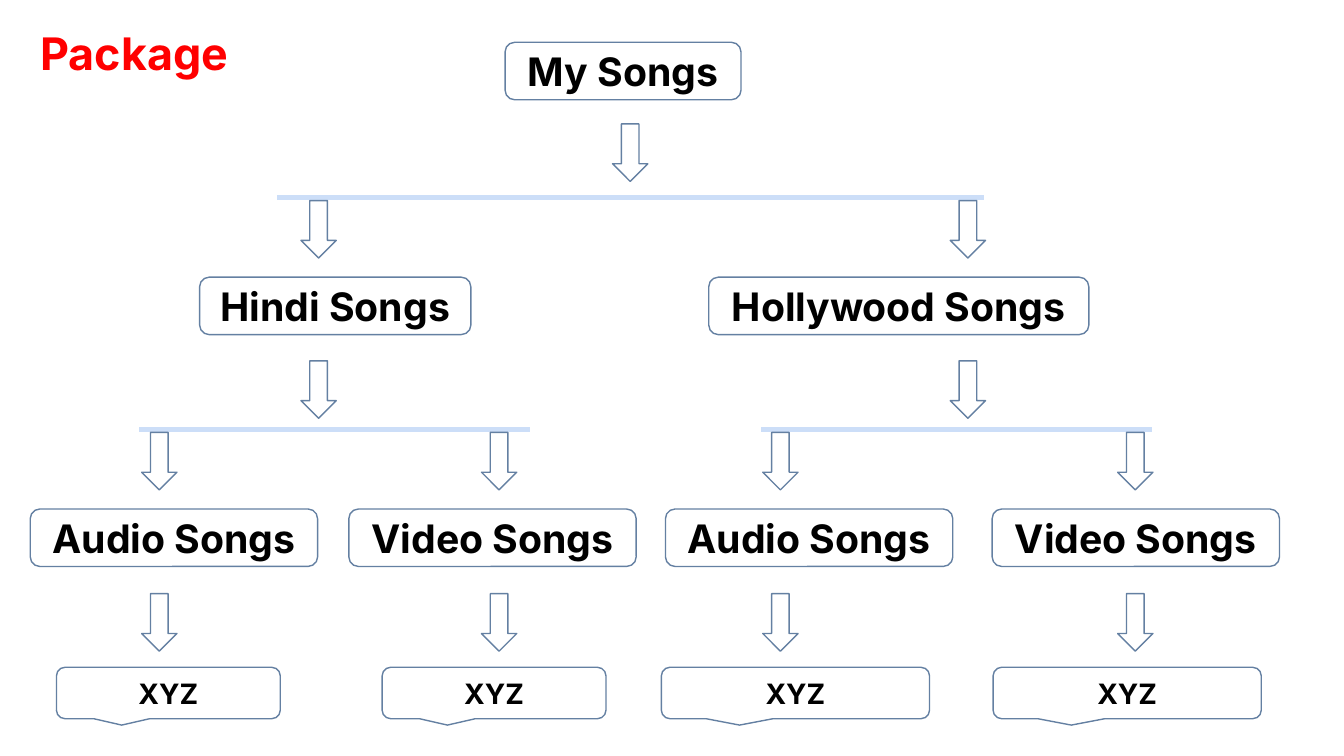
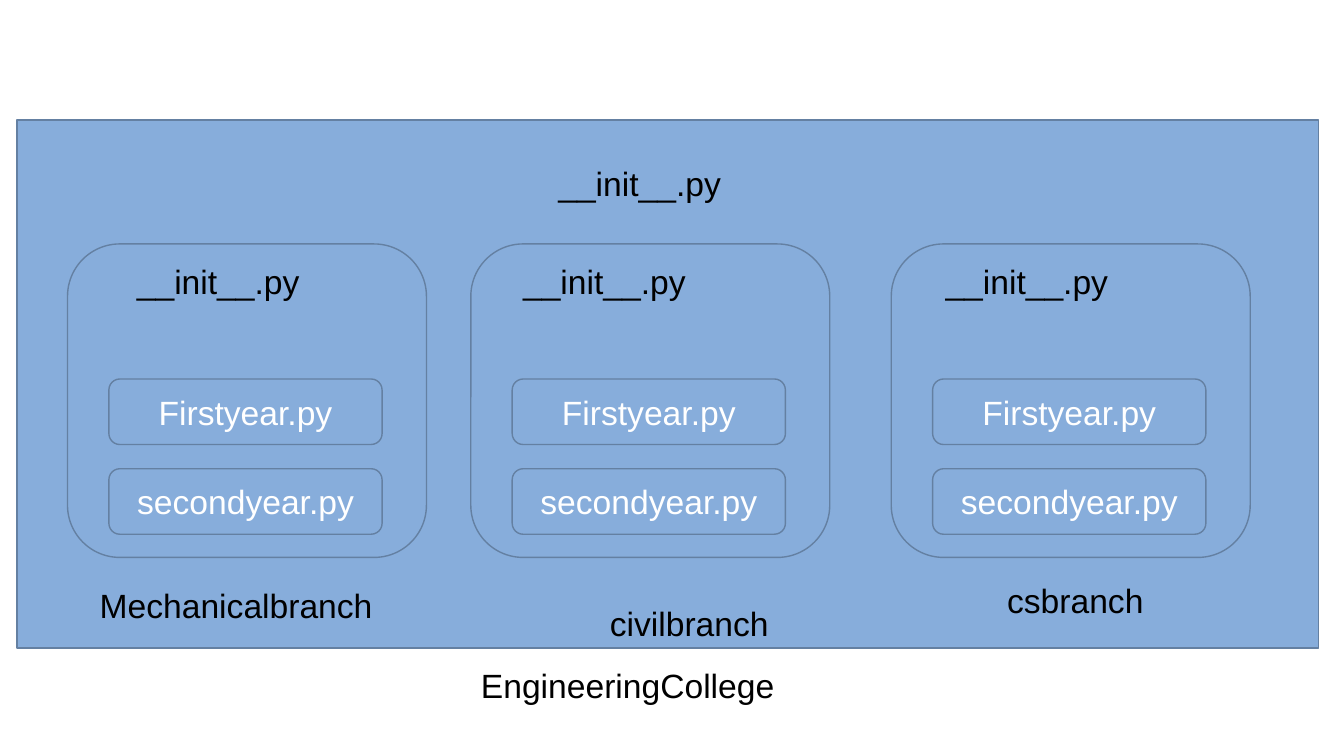
from pptx import Presentation
from pptx.dml.color import RGBColor
from pptx.enum.shapes import MSO_CONNECTOR, MSO_SHAPE
from pptx.enum.text import MSO_ANCHOR, MSO_AUTO_SIZE, PP_ALIGN
from pptx.oxml.ns import qn
from pptx.util import Inches, Pt
from lxml.etree import SubElement

OUTLINE, BAR, PANEL = "6480A2", "CCDEF8", "87ADDB"
BLACK, WHITE, RED = "000000", "FFFFFF", "FF0000"
HEADING = {"font": "Inter", "bold": True}


def write(shape, text, size=24, color=BLACK, font="Arial", bold=False, centred=False):
    """Put one formatted paragraph into a shape, a text box or a title."""
    frame = shape.text_frame
    frame.text = text
    frame.word_wrap = True
    frame.auto_size = MSO_AUTO_SIZE.NONE
    frame.vertical_anchor = MSO_ANCHOR.MIDDLE if centred else MSO_ANCHOR.TOP
    paragraph = frame.paragraphs[0]
    paragraph.alignment = PP_ALIGN.CENTER if centred else PP_ALIGN.LEFT
    style = paragraph.runs[0].font
    style.name, style.size, style.bold = font, Pt(size), bold
    style.color.rgb = RGBColor.from_string(color)


def add_outlined(slide, kind, left, top, width, height, fill=None):
    """Add a preset shape with the thin outline that both slides share."""
    shape = slide.shapes.add_shape(kind, *map(Inches, (left, top, width, height)))
    shape.shadow.inherit = False
    shape.line.color.rgb = RGBColor.from_string(OUTLINE)
    shape.line.width = Pt(1)
    if fill:
        shape.fill.solid()
        shape.fill.fore_color.rgb = RGBColor.from_string(fill)
    else:
        shape.fill.background()
    return shape


presentation = Presentation()
presentation.slide_width, presentation.slide_height = Inches(13.33), Inches(7.5)
title_only = presentation.slide_layouts[5]

titles = [
    ("Package", (0.3, 0.2, 3.33, 0.64), {"size": 32, "color": RED, **HEADING}),
    ("EngineeringCollege", (4.67, 6.55, 4, 0.5), {}),
]
for text, bounds, style in titles:
    slide = presentation.slides.add_slide(title_only)
    title = slide.shapes.title
    title.left, title.top, title.width, title.height = map(Inches, bounds)
    write(title, text, **style)
tree_slide, college_slide = presentation.slides

# Slide 1: tree of song packages
box_height, callout_height = 0.57, 0.51
arrow_width, arrow_height = 0.35, 0.57
leaf_width, leaf_row, callout_row = 2.85, 5.05, 6.62

bars = [(2.75, 9.76, 1.96), (1.38, 5.26, 4.26), (7.55, 11.43, 4.26)]
for start, end, row in bars:
    bar = tree_slide.shapes.add_connector(
        MSO_CONNECTOR.STRAIGHT, *map(Inches, (start, row, end, row)))
    bar.line.color.rgb = RGBColor.from_string(BAR)
    bar.line.width = Pt(4)
    SubElement(bar._element.spPr, qn("a:effectLst"))

root_centre, group_centres = 6.25, (3.16, 9.6)
leaf_centres = (1.58, 4.95, 7.74, 11.26)
arrow_rows = [
    (1.23, (root_centre,)),
    (1.99, group_centres),
    (3.58, group_centres),
    (4.29, leaf_centres),
    (5.89, leaf_centres),
]
for row, centres in arrow_rows:
    for centre in centres:
        add_outlined(tree_slide, MSO_SHAPE.DOWN_ARROW, centre - arrow_width / 2, row,
                     arrow_width, arrow_height)

packages = [
    ("My Songs", 5.01, 0.42, 2.34),
    ("Hindi Songs", 1.98, 2.75, 2.69),
    ("Hollywood Songs", 7.03, 2.75, 3.77),
    ("Audio Songs", 0.3, leaf_row, leaf_width),
    ("Video Songs", 3.46, leaf_row, leaf_width),
    ("Audio Songs", 6.6, leaf_row, leaf_width),
    ("Video Songs", 9.84, leaf_row, leaf_width),
]
for text, left, row, width in packages:
    package_box = add_outlined(tree_slide, MSO_SHAPE.ROUNDED_RECTANGLE,
                               left, row, width, box_height)
    write(package_box, text, 28, centred=True, **HEADING)

for left, width in [(0.56, 2.22), (3.79, 2.22), (6.56, 2.66), (9.85, 2.66)]:
    callout = add_outlined(tree_slide, MSO_SHAPE.ROUNDED_RECTANGULAR_CALLOUT,
                           left, callout_row, width, callout_height)
    write(callout, "XYZ", 20, centred=True, **HEADING)

# Slide 2: college package with three branch packages
add_outlined(college_slide, MSO_SHAPE.RECTANGLE, 0.17, 1.19, 12.91, 5.24, PANEL)

branch_top, branch_width, branch_height = 2.42, 3.56, 3.11
file_indent, file_width, file_height = 0.41, 2.71, 0.65
file_rows = [("Firstyear.py", 3.76), ("secondyear.py", 4.65)]
label_width, label_height = 3.04, 0.5
labels = [("__init__.py", 5.44, 1.57)]
branches = [
    ("Mechanicalbranch", 0.67, 1.26, 0.89, 5.75),
    ("civilbranch", 4.67, 5.09, 5.95, 5.93),
    ("csbranch", 8.84, 9.28, 9.89, 5.7),
]
for name, left, init_left, name_left, name_top in branches:
    add_outlined(college_slide, MSO_SHAPE.ROUNDED_RECTANGLE,
                 left, branch_top, branch_width, branch_height, PANEL)
    for file_name, row in file_rows:
        file_box = add_outlined(college_slide, MSO_SHAPE.ROUNDED_RECTANGLE,
                                left + file_indent, row, file_width, file_height, PANEL)
        write(file_box, file_name, color=WHITE, centred=True)
    labels += [("__init__.py", init_left, 2.54), (name, name_left, name_top)]

for text, left, top in labels:
    label = college_slide.shapes.add_textbox(
        *map(Inches, (left, top, label_width, label_height)))
    write(label, text)

presentation.save("out.pptx")
